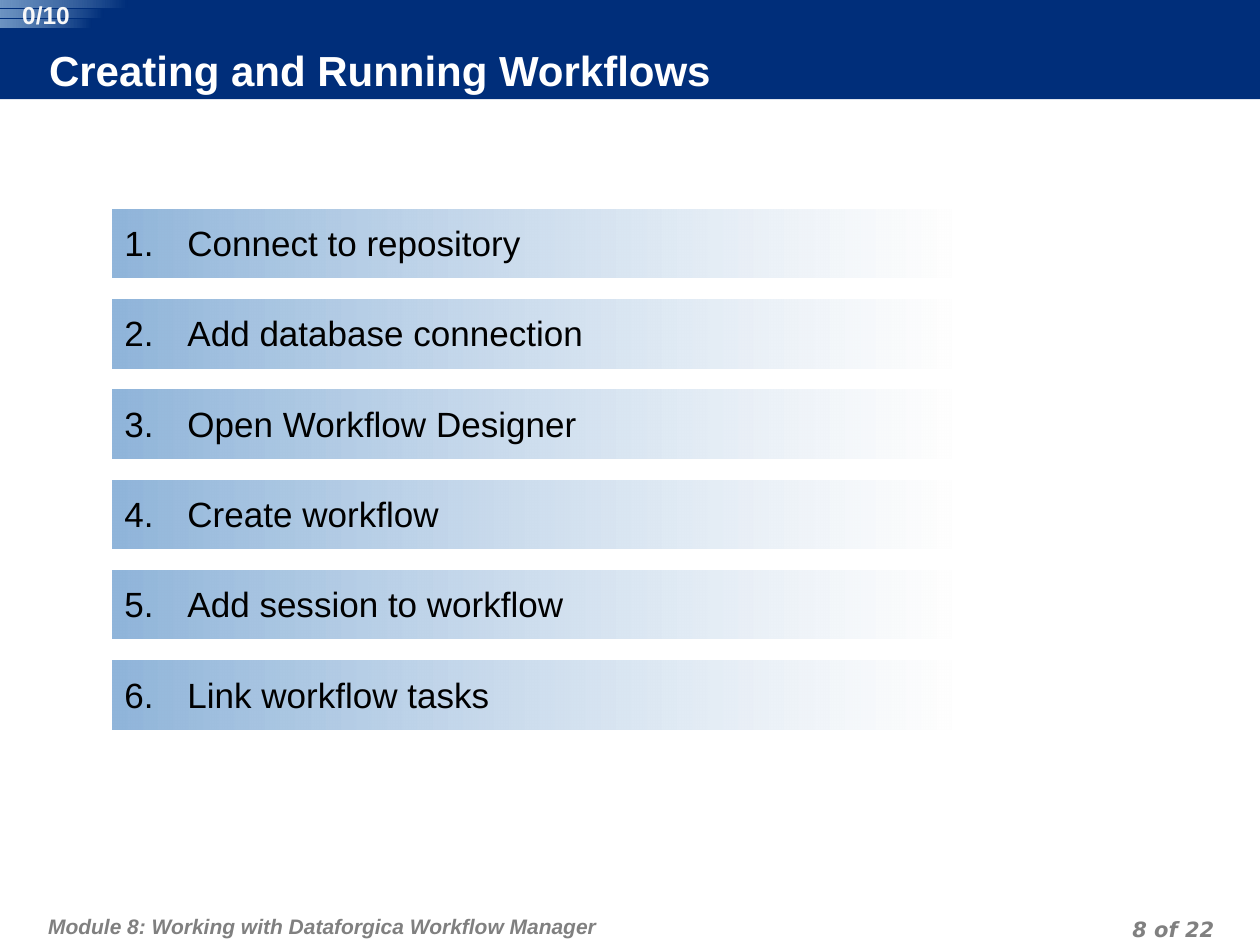
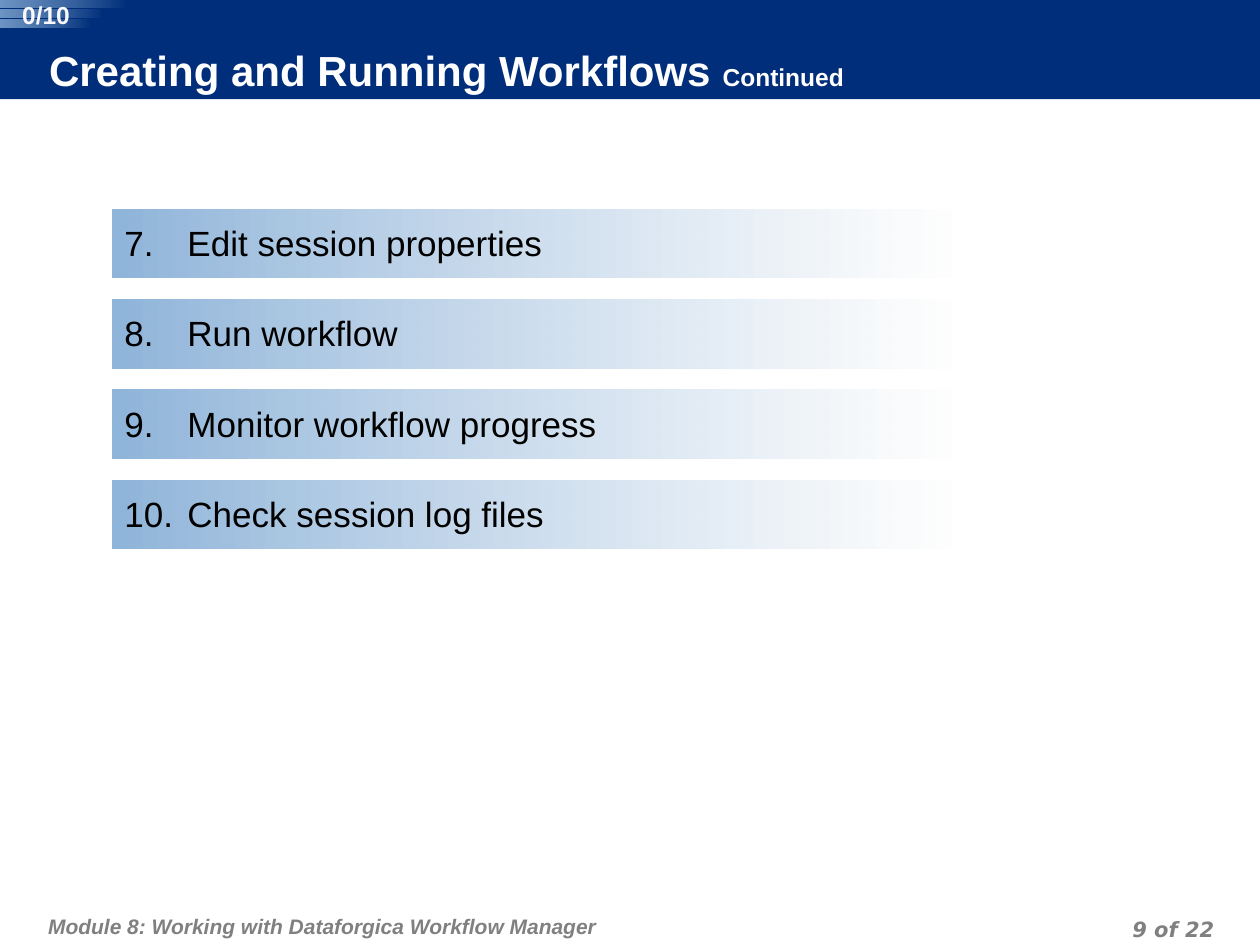
from collections import namedtuple

from lxml.etree import SubElement
from pptx import Presentation
from pptx.dml.color import RGBColor
from pptx.enum.shapes import MSO_SHAPE
from pptx.enum.text import MSO_ANCHOR, PP_ALIGN
from pptx.oxml.ns import qn
from pptx.util import Cm, Pt

Box = namedtuple("Box", "left top width height")

NAVY, SKY, PALE = "002E7A", "90B5DA", "FEFEFE"
WHITE, OFF_WHITE, GRAY, BLACK = "FFFFFF", "F8F8F8", "808080", "000000"
FONT, NUMBER_FONT = "Arial", "DejaVu Sans"

PAGE = Box(0, 0, 25.4, 19.05)
BAND = Box(0, 0, PAGE.width, 2)
FOOTER = Box(0.84, 18.03, 23.77, 1.02)
STEPS = Box(2.26, 4.22, 16.92, 10.5)
TRACKER = Box(0, 0, 2.57, 0.58)

STEP_PITCH, STEP_HEIGHT, STEP_INDENT = 1.82, 1.38, 1.27
STRIPE_WIDTHS = (2.57, 2.08, 1.85)
STRIPE_PITCH, STRIPE_HEIGHT = 0.2, 0.16

TITLE = "Creating and Running Workflows"
MODULE = "Module 8: Working with Dataforgica Workflow Manager"
PAGE_COUNT = 22
FIRST_PAGE = 8
SLIDES = [
    ("", ["Connect to repository", "Add database connection",
          "Open Workflow Designer", "Create workflow",
          "Add session to workflow", "Link workflow tasks"]),
    ("Continued", ["Edit session properties", "Run workflow",
                   "Monitor workflow progress", "Check session log files"]),
]


def rgb(value):
    return RGBColor.from_string(value)


def in_cm(box):
    return [Cm(length) for length in box]


def add_plain_shape(shapes, kind, box):
    shape = shapes.add_shape(kind, *in_cm(box))
    shape.shadow.inherit = False
    shape.line.fill.background()
    return shape


def add_solid(shapes, box, color):
    shape = add_plain_shape(shapes, MSO_SHAPE.RECTANGLE, box)
    shape.fill.solid()
    shape.fill.fore_color.rgb = rgb(color)
    return shape


def add_gradient(shapes, box, *stops):
    """Fade from right to left through two (color, opacity percent) stops."""
    shape = add_plain_shape(shapes, MSO_SHAPE.ROUNDED_RECTANGLE, box)
    shape.adjustments[0] = 0
    shape.fill.gradient()
    shape.fill.gradient_angle = 180
    for position, (stop, (color, opacity)) in enumerate(
            zip(shape.fill.gradient_stops, stops)):
        stop.position = position
        stop.color.rgb = rgb(color)
    for element, (color, opacity) in zip(
            shape.element.iter(qn("a:srgbClr")), stops):
        if opacity < 100:
            SubElement(element, qn("a:alpha"), val=str(opacity * 1000))
    return shape


def write_text(shape, text, size, color, font=FONT, bold=False, italic=False,
               align=PP_ALIGN.LEFT, anchor=MSO_ANCHOR.TOP,
               insets=(0, 0, 0, 0), before=0, line_spacing=None):
    """Set the shape's only paragraph and return it; insets go clockwise from left."""
    frame = shape.text_frame
    frame.word_wrap = True
    frame.vertical_anchor = anchor
    (frame.margin_left, frame.margin_top,
     frame.margin_right, frame.margin_bottom) = in_cm(insets)
    paragraph = frame.paragraphs[0]
    paragraph.alignment = align
    if line_spacing:
        paragraph.line_spacing = Pt(line_spacing)
    paragraph.space_before = Pt(before)
    paragraph.font.size = Pt(size)
    run = paragraph.add_run()
    run.text = text
    run.font.name, run.font.size = font, Pt(size)
    run.font.bold, run.font.italic = bold, italic
    run.font.color.rgb = rgb(color)
    return paragraph


def number_paragraph(paragraph, number):
    properties = paragraph._p.get_or_add_pPr()
    properties.set("marL", str(Cm(STEP_INDENT)))
    properties.set("indent", str(-Cm(STEP_INDENT)))
    bullet_color = SubElement(properties, qn("a:buClr"))
    SubElement(bullet_color, qn("a:srgbClr"), val=BLACK)
    SubElement(properties, qn("a:buFont"), typeface=FONT)
    SubElement(properties, qn("a:buAutoNum"), type="arabicPeriod",
               startAt=str(number))


def add_title_band(slide, box, suffix):
    add_solid(slide.shapes, box, NAVY)
    title = add_solid(
        slide.shapes, Box(box.left + 0.99, box.top + 0.97, 20, 1.02), NAVY)
    paragraph = write_text(
        title, f"{TITLE} " if suffix else TITLE, 24, WHITE, bold=True,
        anchor=MSO_ANCHOR.MIDDLE, insets=(0, 0, 0.13, 0.13))
    if suffix:
        run = paragraph.add_run()
        run.text = suffix
        run.font.name, run.font.size, run.font.bold = FONT, Pt(14), True
        run.font.color.rgb = rgb(WHITE)


def add_footer(slide, box, page):
    style = dict(size=12, color=GRAY, bold=True, italic=True,
                 before=6, line_spacing=18)
    module = slide.shapes.add_textbox(
        *in_cm(Box(box.left, box.top, 16.81, box.height)))
    write_text(module, MODULE, insets=(0.13, 0.25, 0.13, 0.13), **style)
    number_width = 5.92
    number = slide.shapes.add_textbox(
        *in_cm(Box(box.left + box.width - number_width, box.top + 0.31,
                   number_width, 0.64)))
    write_text(number, f"{page} of {PAGE_COUNT}", font=NUMBER_FONT,
               align=PP_ALIGN.RIGHT, insets=(0.13, 0, 0.13, 0), **style)


def add_steps(slide, box, steps, first_number):
    for index, step in enumerate(steps):
        bar = add_gradient(
            slide.shapes,
            Box(box.left, box.top + index * STEP_PITCH, box.width, STEP_HEIGHT),
            (PALE, 75), (SKY, 100))
        paragraph = write_text(bar, step, 20, BLACK, before=5,
                               insets=(0.25, 0.25, 0.25, 0.13))
        number_paragraph(paragraph, first_number + index)


def add_tracker(slide, box):
    group = slide.shapes.add_group_shape()
    for index, width in enumerate(STRIPE_WIDTHS):
        add_gradient(
            group.shapes,
            Box(box.left, box.top + index * STRIPE_PITCH, width, STRIPE_HEIGHT),
            (NAVY, 100), (SKY, 76))
    counter = group.shapes.add_textbox(
        *in_cm(Box(box.left + 0.28, box.top, 1.3, box.height)))
    write_text(counter, "0/10", 14, OFF_WHITE, bold=True, align=PP_ALIGN.CENTER)


def add_steps_slide(presentation, page, suffix, steps, first_number):
    slide = presentation.slides.add_slide(presentation.slide_layouts[6])
    add_title_band(slide, BAND, suffix)
    add_footer(slide, FOOTER, page)
    add_steps(slide, STEPS, steps, first_number)
    add_tracker(slide, TRACKER)


def main():
    presentation = Presentation()
    presentation.slide_width = Cm(PAGE.width)
    presentation.slide_height = Cm(PAGE.height)
    first_number = 1
    for page, (suffix, steps) in enumerate(SLIDES, FIRST_PAGE):
        add_steps_slide(presentation, page, suffix, steps, first_number)
        first_number += len(steps)
    presentation.save("out.pptx")


if __name__ == "__main__":
    main()
